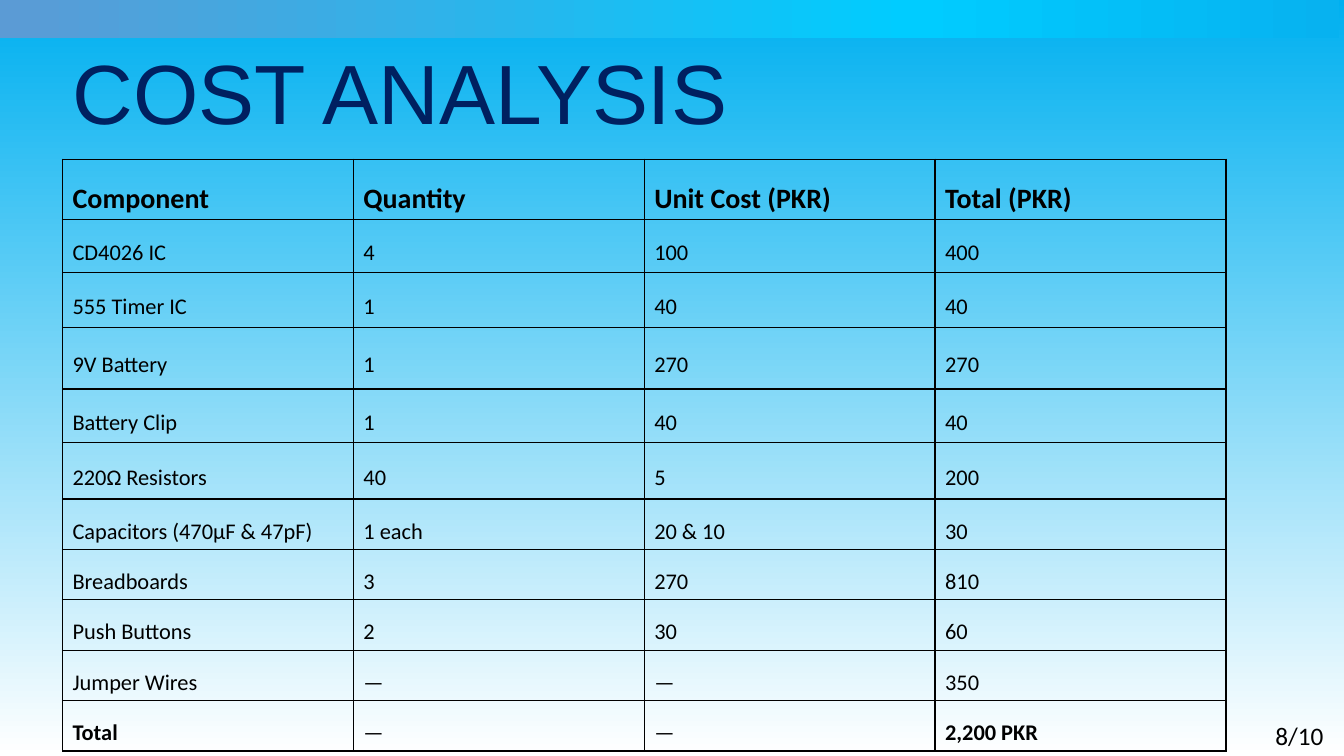
from copy import deepcopy
from dataclasses import dataclass

from lxml import etree
from pptx import Presentation
from pptx import util as u
from pptx.dml.color import RGBColor
from pptx.enum import shapes, text
from pptx.oxml.ns import qn


@dataclass(frozen=True)
class Theme:
    """Colours, fonts and type sizes of the deck."""
    title_font: str = "Arial"
    body_font: str = "Calibri"
    ink: str = "000000"
    navy: str = "002060"
    title_size: int = 60
    header_size: int = 20
    cell_size: int = 16
    number_size: int = 18
    sky: tuple = ((0, "00B0F0"), (100, "FFFFFF"))
    banner: tuple = ((0, "5B9BD5"), (68, "00CCFF"), (100, "07B2F0"))


THEME = Theme()
WIDTH, HEIGHT = 13.33, 7.5
ROW_HEIGHTS = (0.41, 0.52, 0.55, 0.61, 0.53, 0.56, 0.35, 0.41, 0.41, 0.41, 0.41)
COSTS = (
    ("Component", "Quantity", "Unit Cost (PKR)", "Total (PKR)"),
    ("CD4026 IC", "4", "100", "400"),
    ("555 Timer IC", "1", "40", "40"),
    ("9V Battery", "1", "270", "270"),
    ("Battery Clip", "1", "40", "40"),
    ("220Ω Resistors", "40", "5", "200"),
    ("Capacitors (470µF & 47pF)", "1 each", "20 & 10", "30"),
    ("Breadboards", "3", "270", "810"),
    ("Push Buttons", "2", "30", "60"),
    ("Jumper Wires", "—", "—", "350"),
    ("Total", "—", "—", "2,200 PKR"),
)


def inches(box):
    """Turn a box of inch values into lengths."""
    return [u.Inches(value) for value in box]


def style(para, font, size, colour, bold=False):
    """Format every run of a paragraph."""
    for span in para.runs:
        span.font.name = font
        span.font.size = u.Pt(size)
        span.font.bold = bold
        span.font.color.rgb = RGBColor.from_string(colour)


def paint_gradient(fill, element, stops, angle):
    """Fill with a linear gradient of (percent, colour) stops."""
    fill.gradient()
    fill.gradient_angle = angle
    stop_list = element.xpath(".//a:gsLst")[0]
    while len(stop_list) < len(stops):
        stop_list.append(deepcopy(stop_list[-1]))
    for stop, (percent, colour) in zip(fill.gradient_stops, stops):
        stop.color.rgb = RGBColor.from_string(colour)
        stop.position = percent / 100


def add_banner(page, box):
    """Draw the gradient strip along the top."""
    strip = page.shapes.add_shape(shapes.MSO_SHAPE.RECTANGLE, *inches(box))
    strip.shadow.inherit = False
    strip.line.fill.background()
    paint_gradient(strip.fill, strip.element, THEME.banner, 0)


def add_label(page, box, words, font, size, colour):
    """Place one line of text in a box."""
    label = page.shapes.add_textbox(*inches(box))
    frame = label.text_frame
    frame.word_wrap = True
    frame.auto_size = text.MSO_AUTO_SIZE.SHAPE_TO_FIT_TEXT
    frame.text = words
    style(frame.paragraphs[0], font, size, colour)


def add_borders(cell):
    """Rule all four sides of a table cell."""
    properties = cell._tc.get_or_add_tcPr()
    for side in ("a:lnL", "a:lnR", "a:lnT", "a:lnB"):
        line = etree.SubElement(properties, qn(side), w=str(u.Pt(1)))
        solid = etree.SubElement(line, qn("a:solidFill"))
        etree.SubElement(solid, qn("a:srgbClr"), val=THEME.ink)


def add_cost_table(page, box):
    """Build the cost table with equal columns."""
    table = page.shapes.add_table(len(COSTS), len(COSTS[0]), *inches(box)).table
    table.first_row = table.horz_banding = False
    for column in table.columns:
        column.width = u.Inches(box[2] / len(COSTS[0]))
    for r, (height, values) in enumerate(zip(ROW_HEIGHTS, COSTS)):
        table.rows[r].height = u.Inches(height)
        header, total = r == 0, values[0] == "Total"
        for c, value in enumerate(values):
            cell = table.cell(r, c)
            cell.text = value
            cell.vertical_anchor = text.MSO_ANCHOR.MIDDLE
            add_borders(cell)
            cell.fill.background()
            para = cell.text_frame.paragraphs[0]
            para.line_spacing = 1.5
            size = THEME.header_size if header else THEME.cell_size
            bold = header or (total and value != "—")
            style(para, THEME.body_font, size, THEME.ink, bold)


def add_cost_slide(deck):
    """Lay out the cost analysis slide."""
    page = deck.slides.add_slide(deck.slide_layouts[6])
    paint_gradient(page.background.fill, page.element, THEME.sky, 270)
    left = 0.62
    add_label(page, (left, 0.35, 7.11, 1.11), "COST ANALYSIS",
              THEME.title_font, THEME.title_size, THEME.navy)
    add_cost_table(page, (left, 1.58, 11.54, sum(ROW_HEIGHTS)))
    add_banner(page, (0, 0, 13.28, 0.38))
    add_label(page, (WIDTH - 0.78, HEIGHT - 0.4, 0.78, 0.4), "8/10",
              THEME.body_font, THEME.number_size, THEME.ink)


def main():
    """Create and save the deck."""
    deck = Presentation()
    deck.slide_width, deck.slide_height = inches((WIDTH, HEIGHT))
    add_cost_slide(deck)
    deck.save("out.pptx")


if __name__ == "__main__":
    main()
